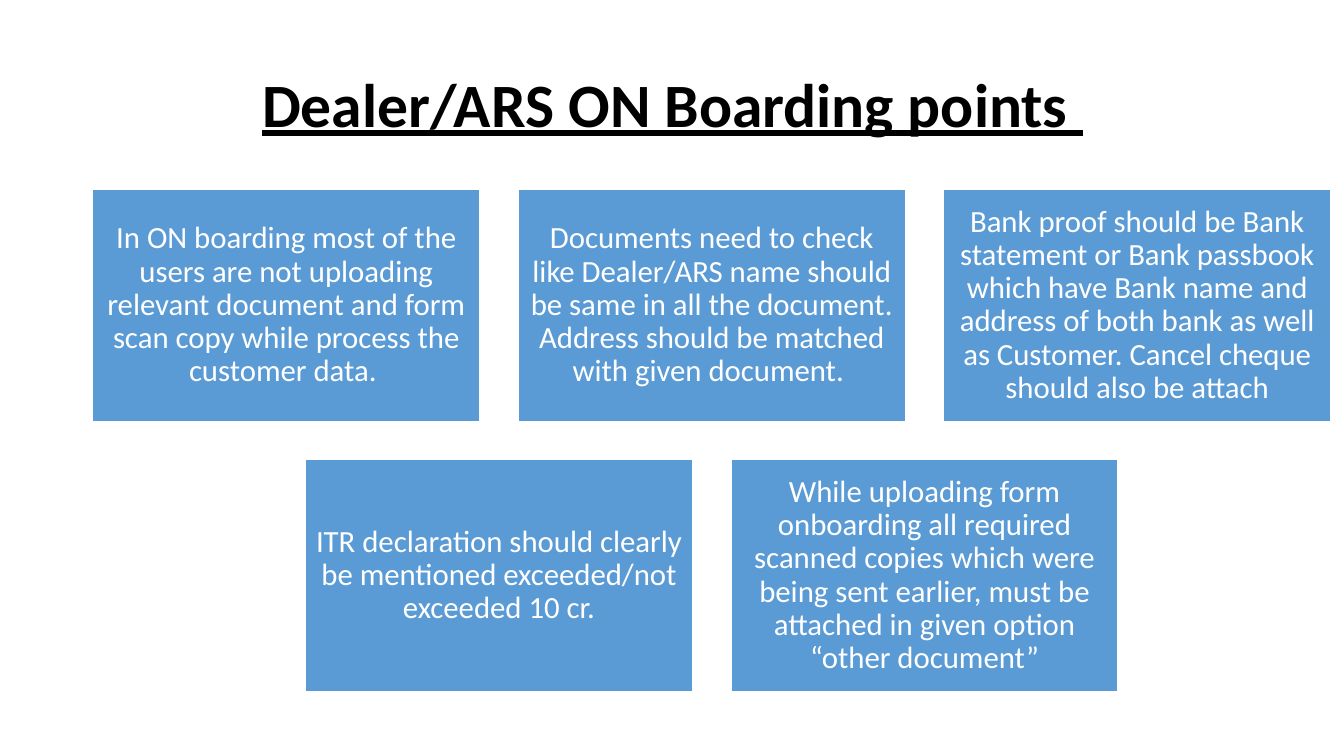
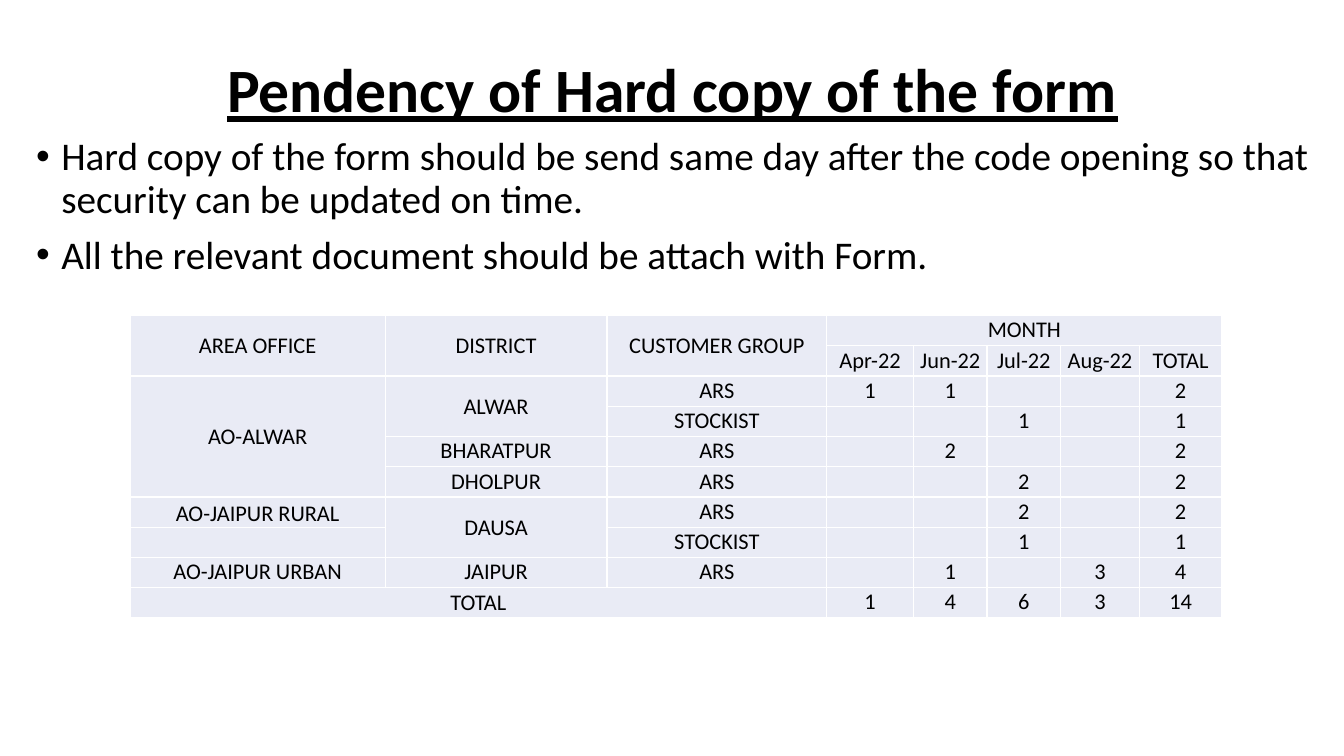
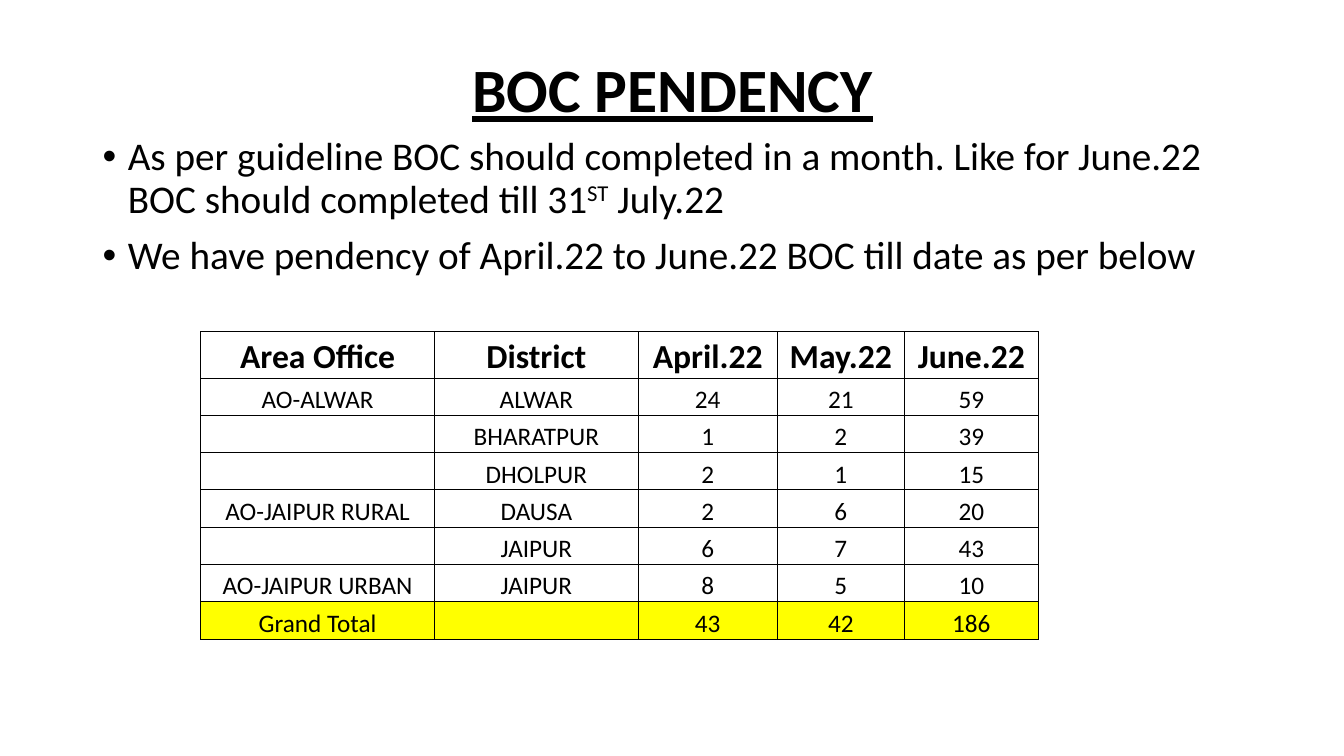
from lxml import etree
from pptx import Presentation, util as u
from pptx.dml.color import RGBColor
from pptx.enum import shapes, text
from pptx.oxml.ns import qn

FONT = "Calibri"
BLACK, WHITE, BLUE, LILAC, YELLOW = "000000", "FFFFFF", "5B9BD5", "E9EBF5", "FFFF00"
MIDDLE, TOP, BOTTOM = (text.MSO_ANCHOR.MIDDLE, text.MSO_ANCHOR.TOP,
                       text.MSO_ANCHOR.BOTTOM)
CENTER = text.PP_ALIGN.CENTER
LEFT, WIDTH = 0.92, 11.5

POINTS = [
    ["In ON boarding most of the users are not uploading relevant document and "
     "form scan copy while process the customer data. ",
     "Documents need to check like Dealer/ARS name should be same in all the "
     "document. Address should be matched with given document. ",
     "Bank proof should be Bank statement or Bank passbook which have Bank name "
     "and address of both bank as well as Customer. Cancel cheque should also be attach"],
    ["ITR declaration should clearly be mentioned exceeded/not exceeded 10 cr.",
     "While uploading form onboarding all required scanned copies which were being "
     "sent earlier, must be attached in given option “other document”"],
]
BOX_W, BOX_H, BOX_GAP, BOX_TOP = 3.84, 2.3, 0.38, 1.88

# Each bullet is a list of (text, format) runs.
FORM_BULLETS = [
    [("Hard copy of the form should be send same day after the code opening so that "
      "security can be updated on time.", {})],
    [("All the relevant document should be attach with Form.", {})],
]
BOC_BULLETS = [
    [("As per guideline BOC should completed in a month. Like for June.22 BOC should "
      "completed till 31", {}), ("ST", {"baseline": "30000"}), (" July.22", {})],
    [("We have pendency of April.22 to June.22 BOC till date as per below", {})],
]

FORM_ROWS = [
    ["AREA OFFICE", "DISTRICT", "CUSTOMER GROUP", "MONTH", "", "", "", ""],
    ["", "", "", "Apr-22", "Jun-22", "Jul-22", "Aug-22", "TOTAL"],
    ["AO-ALWAR", "ALWAR", "ARS", "1", "1", "", "", "2"],
    ["", "", "STOCKIST", "", "", "1", "", "1"],
    ["", "BHARATPUR", "ARS", "", "2", "", "", "2"],
    ["", "DHOLPUR", "ARS", "", "", "2", "", "2"],
    ["AO-JAIPUR RURAL", "DAUSA", "ARS", "", "", "2", "", "2"],
    ["", "", "STOCKIST", "", "", "1", "", "1"],
    ["AO-JAIPUR URBAN", "JAIPUR", "ARS", "", "1", "", "3", "4"],
    ["TOTAL", "", "", "1", "4", "6", "3", "14"],
]
# (row, column): (rows spanned, columns spanned)
FORM_SPANS = {(0, 0): (2, 1), (0, 1): (2, 1), (0, 2): (2, 1), (0, 3): (1, 5),
              (2, 0): (4, 1), (2, 1): (2, 1), (6, 1): (2, 1), (9, 0): (1, 3)}
FORM_COLS = [2.53, 2.2, 2.18, 0.86, 0.73, 0.73, 0.78, 0.82]

BOC_ROWS = [
    ["Area Office", "District", "April.22", "May.22", "June.22"],
    ["AO-ALWAR", "ALWAR", "24", "21", "59"],
    ["", "BHARATPUR", "1", "2", "39"],
    ["", "DHOLPUR", "2", "1", "15"],
    ["AO-JAIPUR RURAL", "DAUSA", "2", "6", "20"],
    ["", "JAIPUR", "6", "7", "43"],
    ["AO-JAIPUR URBAN", "JAIPUR", "8", "5", "10"],
    ["Grand Total", "", "43", "42", "186"],
]
BOC_COLS = [2.32, 2.02, 1.38, 1.26, 1.33]


def rgb(value):
    return RGBColor.from_string(value)


def inches(*values):
    return [u.Inches(v) for v in values]


def add_run(p, content, size, color=BLACK, **fmt):
    r = p.add_run()
    r.text = content
    r.font.color.rgb = rgb(color)
    for name, value in {"name": FONT, "size": u.Pt(size), **fmt}.items():
        setattr(r.font, name, value)
    return r


def add_title(s, content, height=1.04):
    tf = s.shapes.add_textbox(*inches(LEFT, 0.4, WIDTH, height)).text_frame
    tf.word_wrap, tf.vertical_anchor = True, MIDDLE
    p = tf.paragraphs[0]
    p.alignment, p.line_spacing = CENTER, 0.9
    add_run(p, content, 44, bold=True, underline=True)


def add_bullets(s, bullets, left, width, height):
    tf = s.shapes.add_textbox(*inches(left, 1.31, width, height)).text_frame
    tf.word_wrap = True
    for i, runs in enumerate(bullets):
        p = tf.add_paragraph() if i else tf.paragraphs[0]
        p.line_spacing, p.space_before = 0.9, u.Pt(10)
        pPr = p._p.get_or_add_pPr()
        pPr.set("marL", str(u.Inches(0.25)))
        pPr.set("indent", str(u.Inches(-0.25)))
        etree.SubElement(pPr, qn("a:buFont"), typeface="Arial")
        etree.SubElement(pPr, qn("a:buChar"), char="•")
        for content, attrs in runs:
            r = add_run(p, content, 28)
            for name, value in attrs.items():
                r.font._element.set(name, value)


def add_borders(cell, color, points):
    tcPr = cell._tc.get_or_add_tcPr()
    for side in ("lnL", "lnR", "lnT", "lnB"):
        ln = etree.SubElement(tcPr, qn("a:" + side), w=str(u.Pt(points)))
        fill = etree.SubElement(ln, qn("a:solidFill"))
        etree.SubElement(fill, qn("a:srgbClr"), val=color)


def add_grid(s, rows, left, top, cols, heights, border, style, spans={}):
    """Table; style(row, column) gives (size, bold, anchor, fill or None)."""
    frame = s.shapes.add_table(len(rows), len(cols),
                               *inches(left, top, sum(cols), sum(heights)))
    table = frame.table
    table.horz_banding = False
    for col, w in zip(table.columns, cols):
        col.width = u.Inches(w)
    for row, h in zip(table.rows, heights):
        row.height = u.Inches(h)
    for i, values in enumerate(rows):
        for j, value in enumerate(values):
            cell = table.cell(i, j)
            size, bold, anchor, fill = style(i, j)
            margins = dict.fromkeys(("margin_left", "margin_right", "margin_top"),
                                    u.Inches(0.01))
            for name, v in {**margins, "margin_bottom": 0,
                            "vertical_anchor": anchor}.items():
                setattr(cell, name, v)
            add_borders(cell, *border)
            if fill:
                cell.fill.solid()
                cell.fill.fore_color.rgb = rgb(fill)
            else:
                cell.fill.background()
            p = cell.text_frame.paragraphs[0]
            p.alignment = CENTER
            if value:
                add_run(p, value, size, bold=bold)
            else:
                etree.SubElement(p._p, qn("a:endParaRPr"), sz=str(size * 100))
    for (i, j), (down, across) in spans.items():
        table.cell(i, j).merge(table.cell(i + down - 1, j + across - 1))


def form_style(i, j):
    if (i, j) == (6, 0):
        anchor = BOTTOM
    else:
        anchor = MIDDLE if (i, j) in FORM_SPANS and (i, j) != (0, 3) else TOP
    return 16, False, anchor, LILAC


def boc_style(i, j):
    last = i == len(BOC_ROWS) - 1
    return 18 if i else 24, i == 0, BOTTOM, YELLOW if last else None


def add_points(s):
    """Rows of boxes, each row centred under the first."""
    for i, row in enumerate(POINTS):
        indent = (len(POINTS[0]) - len(row)) / 2
        for j, content in enumerate(row):
            sp = s.shapes.add_shape(
                shapes.MSO_SHAPE.RECTANGLE,
                *inches(LEFT + (indent + j) * (BOX_W + BOX_GAP),
                        BOX_TOP + i * (BOX_H + BOX_GAP), BOX_W, BOX_H))
            sp.shadow.inherit = False
            sp.fill.solid()
            sp.fill.fore_color.rgb = rgb(BLUE)
            sp.line.color.rgb = rgb(WHITE)
            sp.line.width = u.Pt(1)
            tf = sp.text_frame
            tf.word_wrap, tf.vertical_anchor = True, MIDDLE
            for side in ("left", "right", "top", "bottom"):
                setattr(tf, "margin_" + side, u.Inches(0.09))
            p = tf.paragraphs[0]
            p.alignment, p.line_spacing = CENTER, 0.9
            add_run(p, content, 22, WHITE)


def main():
    prs = Presentation()
    prs.slide_width, prs.slide_height = inches(13.33, 7.5)
    onboarding, form, boc = [prs.slides.add_slide(prs.slide_layouts[6])
                             for _ in range(3)]

    add_title(onboarding, "Dealer/ARS ON Boarding points ", 1.33)
    add_points(onboarding)

    add_title(form, "Pendency of Hard copy of the form")
    add_bullets(form, FORM_BULLETS, 0.26, 12.83, 6.03)
    add_grid(form, FORM_ROWS, 1.29, 3.13, FORM_COLS, [0.3] * len(FORM_ROWS),
             (WHITE, 1), form_style, FORM_SPANS)

    add_title(boc, "BOC PENDENCY")
    add_bullets(boc, BOC_BULLETS, LEFT, WIDTH, 5.99)
    add_grid(boc, BOC_ROWS, 1.99, 3.29, BOC_COLS,
             [0.46] + [0.37] * (len(BOC_ROWS) - 1), (BLACK, 0.5), boc_style)

    prs.save("out.pptx")


if __name__ == "__main__":
    main()
